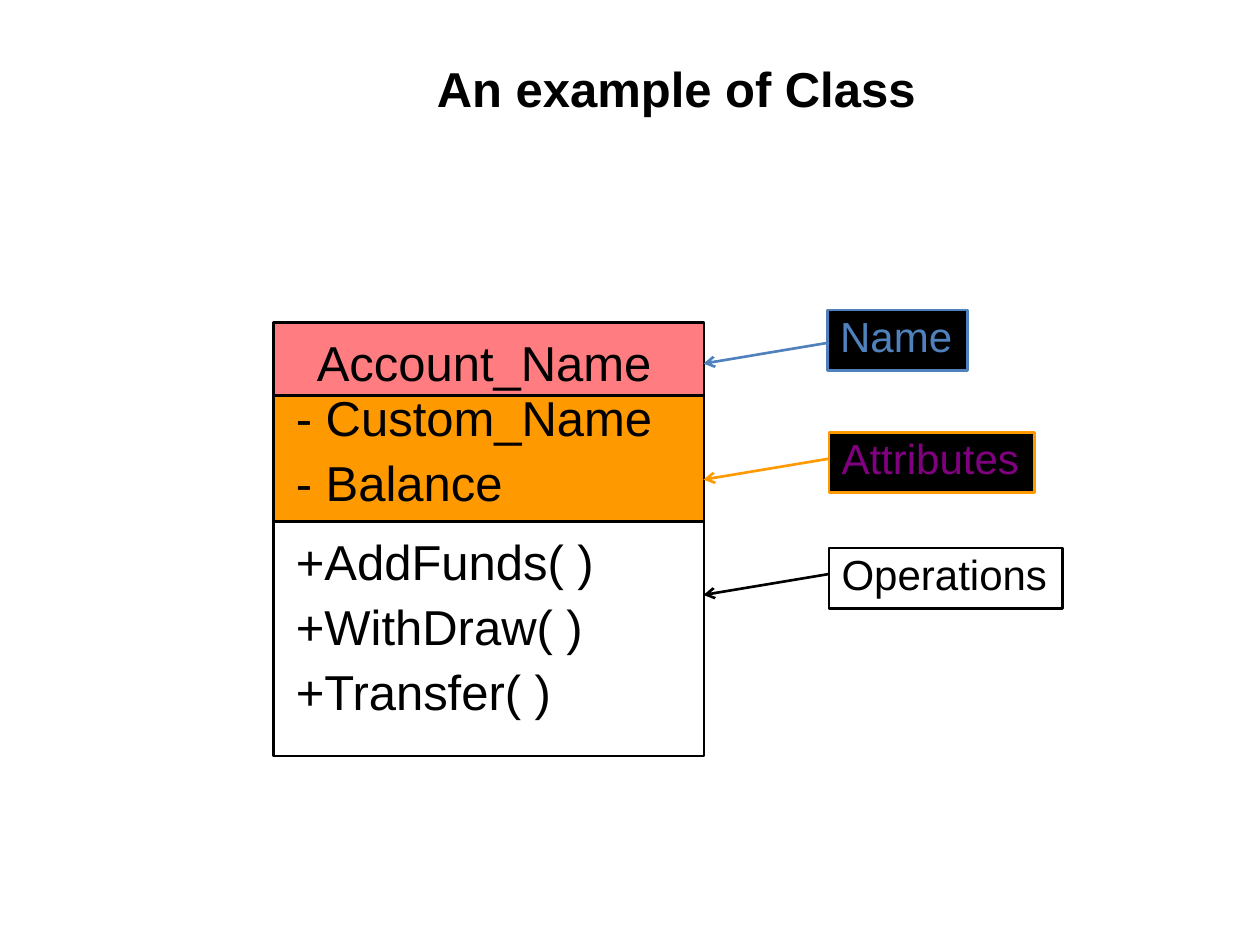
import pptx
import pptx.util
import pptx.dml.color
import pptx.enum.shapes
import pptx.enum.text
import pptx.oxml.ns
import lxml.etree

Pt = pptx.util.Pt
Align = pptx.enum.text.PP_ALIGN
Anchor = pptx.enum.text.MSO_ANCHOR
Kind = pptx.enum.shapes.MSO_SHAPE
Link = pptx.enum.shapes.MSO_CONNECTOR

HUES = {
    "black": "000000",
    "orange": "FF9900",
    "pink": "FF7C80",
    "blue": "4F81BD",
    "purple": "800080",
}


def color(name):
    return pptx.dml.color.RGBColor.from_string(HUES[name])


def apply(item, values):
    for key, value in values.items():
        setattr(item, key, value)


def style(para, size, hue, bold=False):
    apply(para.font, {"name": "Arial", "size": Pt(size), "bold": bold})
    para.font.color.rgb = color(hue)


def write(frame, lines, size, hue, wrap=True):
    apply(frame, {"word_wrap": wrap, "vertical_anchor": Anchor.TOP})
    for i, line in enumerate(lines):
        para = frame.paragraphs[0] if i == 0 else frame.add_paragraph()
        para.text = line
        apply(para, {"alignment": Align.LEFT, "line_spacing": 0.9,
                     "space_before": Pt(size / 4)})
        style(para, size, hue)


def title(slide, text):
    shape = slide.shapes.title
    apply(shape, {"left": Pt(36), "top": Pt(21.6),
                  "width": Pt(648), "height": Pt(90)})
    frame = shape.text_frame
    frame.text = text
    # Insets move the heading right of centre and up
    apply(frame, {"word_wrap": True, "vertical_anchor": Anchor.MIDDLE,
                  "margin_left": Pt(60), "margin_bottom": Pt(36)})
    frame.paragraphs[0].alignment = Align.CENTER
    style(frame.paragraphs[0], 28, "black", True)


def box(slide, left, top, width, height, fill, line):
    shape = slide.shapes.add_shape(
        Kind.RECTANGLE, Pt(left), Pt(top), Pt(width), Pt(height))
    shape.shadow.inherit = False
    if fill:
        shape.fill.solid()
        shape.fill.fore_color.rgb = color(fill)
    else:
        shape.fill.background()
    shape.line.color.rgb = color(line)
    shape.line.width = Pt(1.5)
    return shape


def label(slide, left, top, width, height, lines):
    shape = slide.shapes.add_textbox(
        Pt(left), Pt(top), Pt(width), Pt(height))
    write(shape.text_frame, lines, 28, "black")


def arrow(slide, start, end, hue):
    link = slide.shapes.add_connector(
        Link.STRAIGHT, *[Pt(n) for n in start + end])
    link.line.color.rgb = color(hue)
    link.line.width = Pt(1.5)
    qn = pptx.oxml.ns.qn
    tip = lxml.etree.SubElement(link.line._get_or_add_ln(), qn("a:tailEnd"))
    tip.set("type", "arrow")
    lxml.etree.SubElement(link._element.spPr, qn("a:effectLst"))


def main():
    deck = pptx.Presentation()
    apply(deck, {"slide_width": Pt(720), "slide_height": Pt(540)})
    slide = deck.slides.add_slide(deck.slide_layouts[5])
    title(slide, "An example of Class")

    # Class compartments, stacked from the top
    left, top, width = 156.2, 184.3, 246.2
    for height, fill in ((41.8, "pink"), (72, "orange"), (133.9, None)):
        box(slide, left, top, width, height, fill, "black")
        top += height

    # Members
    label(slide, 174, 190.1, 214, 37.4, ["Account_Name"])
    label(slide, 162, 221.8, 226, 74.2, ["- Custom_Name", "- Balance"])
    label(slide, 162, 303.8, 192, 148.3,
          ["+AddFunds( )", "+WithDraw( )", "+Transfer( )"])

    # Callouts, each with an arrow to its compartment
    calls = (
        ("Name", 473, 177.1, 80, "black", "blue", "blue", 195.8),
        ("Attributes", 473.8, 247, 117.4, "black", "orange", "purple", 262.1),
        ("Operations", 473.8, 313.2, 133.2, None, "black", "black", 328),
    )
    for text, x, y, wide, fill, line, ink, start in calls:
        shape = box(slide, x, y, wide, 34.6, fill, line)
        write(shape.text_frame, [text], 24, ink, False)
        arrow(slide, (473.8, start), (402, start + 12), line)

    deck.save("out.pptx")


if __name__ == "__main__":
    main()
